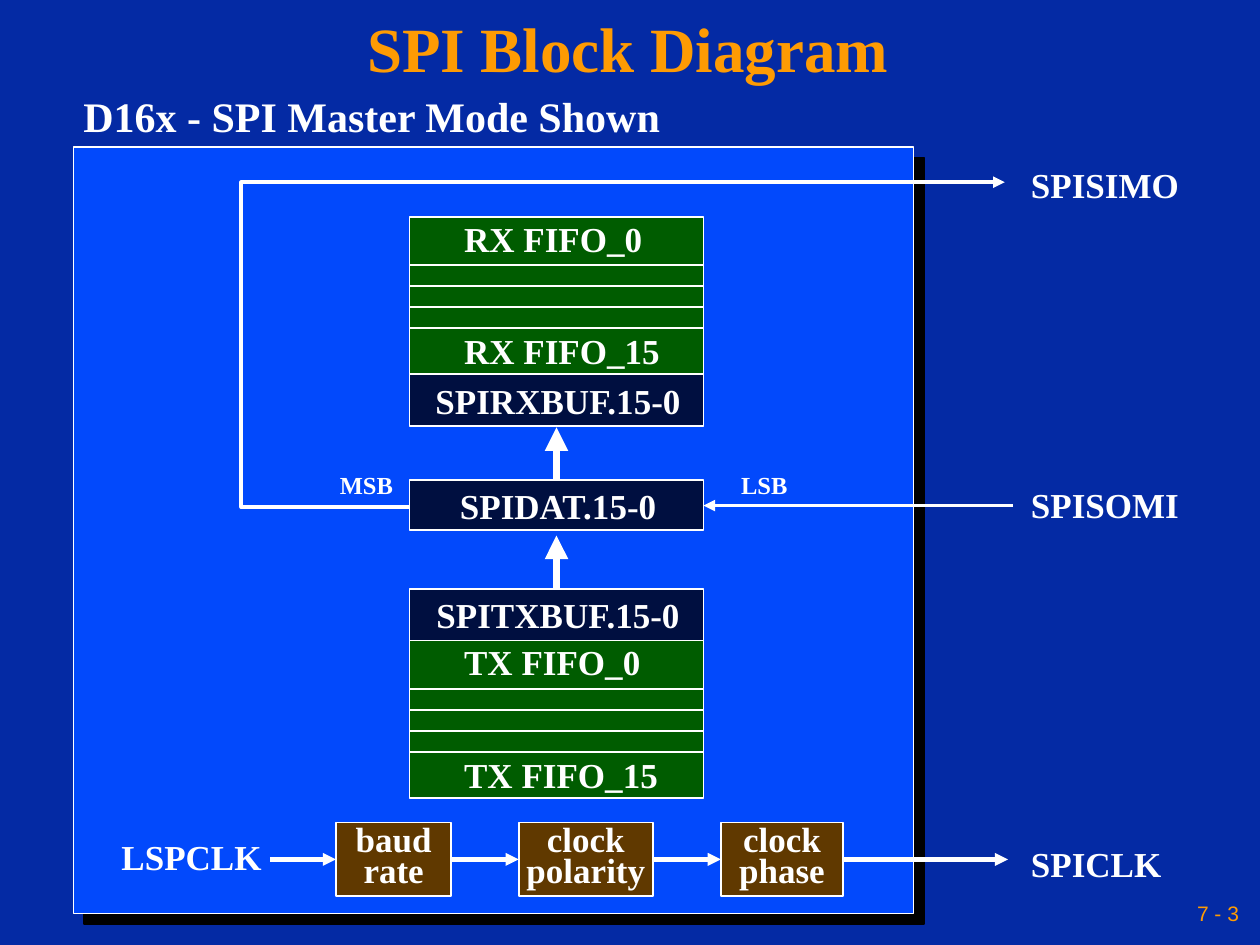
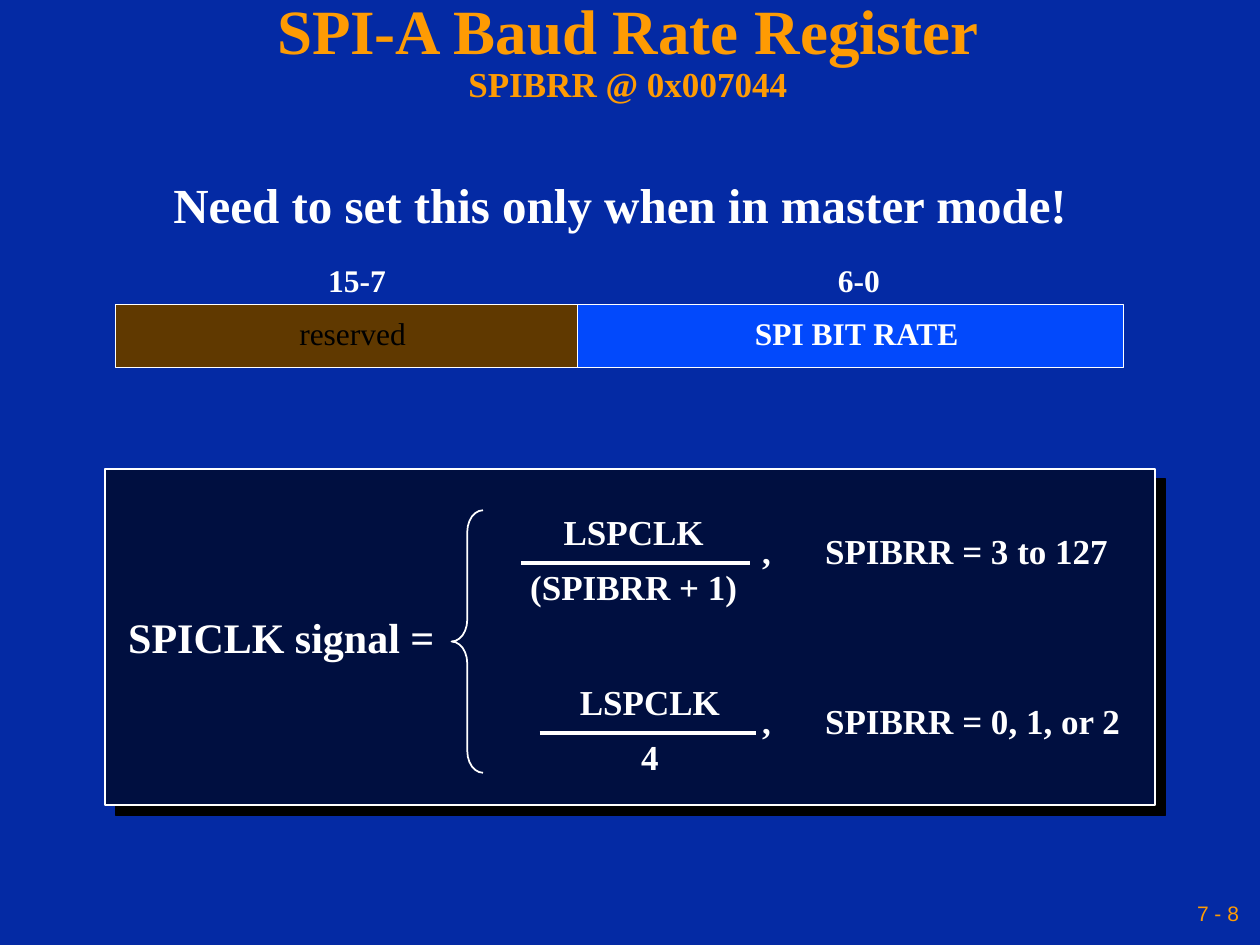
import pptx
import pptx.dml.color
import pptx.enum.shapes
import pptx.enum.text
import pptx.oxml
import pptx.oxml.ns
import pptx.util

RGB = pptx.dml.color.RGBColor
NAVY = RGB(0x04, 0x2A, 0xA4)
BLUE = RGB(0x02, 0x49, 0xFC)
MIDNIGHT = RGB(0x00, 0x0F, 0x40)
GREEN = RGB(0x00, 0x5C, 0x00)
BROWN = RGB(0x60, 0x39, 0x00)
ORANGE = RGB(0xFE, 0x9B, 0x03)
WHITE = RGB(0xFF, 0xFF, 0xFF)
BLACK = RGB(0x00, 0x00, 0x00)

COLUMNS, ROWS = 120, 90
SHAPES = pptx.enum.shapes.MSO_SHAPE
ALIGN = pptx.enum.text.PP_ALIGN
ANCHOR = pptx.enum.text.MSO_ANCHOR
Pt = pptx.util.Pt


def add_xml(parent, tag, attributes="", inner=""):
    namespace = pptx.oxml.ns.nsdecls("a")
    parent.append(pptx.oxml.parse_xml(
        f"<a:{tag} {namespace} {attributes}>{inner}</a:{tag}>"))


class Page:
    """Holds the deck's style and the slide now being filled."""

    def __init__(self, deck):
        self.deck = deck
        self.cell = deck.slide_width / COLUMNS
        self.slide = None
        background = deck.slide_master.background.fill
        background.solid()
        background.fore_color.rgb = NAVY

    def start(self, title, number, subtitle=None):
        self.slide = self.deck.slides.add_slide(self.deck.slide_layouts[6])
        heading = self.label([title], (0, 0, 119, 10), size=36, color=ORANGE,
                             spacing=0.9, wrap=True, insets=(0.6, 0.6))
        if subtitle:
            para = heading.text_frame.paragraphs[0]
            para.add_line_break()
            self.span(para, subtitle, size=20, color=ORANGE)
        self.label([f"7 - {number}"], (82, 85, 36, 4), size=12, color=ORANGE,
                   bold=False, font="Arial", spacing=1, align=ALIGN.RIGHT,
                   wrap=True, insets=(0.6, 0.6))

    def place(self, *lengths):
        """Turn grid units into slide lengths."""
        return [round(length * self.cell) for length in lengths]

    def span(self, para, words, size=20, color=WHITE, bold=True,
             font="Times New Roman"):
        span = para.add_run()
        span.text = words
        for name, value in {"size": Pt(size), "bold": bold,
                            "name": font}.items():
            setattr(span.font, name, value)
        span.font.color.rgb = color

    def set_text(self, box, lines, align=ALIGN.CENTER, anchor=ANCHOR.MIDDLE,
                 spacing=0.8, gap=0, wrap=True, insets=(0, 0), tab=None,
                 **style):
        """Fill a box with one paragraph a line; insets are left and top."""
        frame = box.text_frame
        left, top = self.place(*insets)
        for name, value in {"word_wrap": wrap, "vertical_anchor": anchor,
                            "margin_left": left, "margin_right": 0,
                            "margin_top": top, "margin_bottom": 0}.items():
            setattr(frame, name, value)
        if anchor == ANCHOR.MIDDLE:
            frame.margin_bottom = top
        for index, words in enumerate(lines):
            para = frame.add_paragraph() if index else frame.paragraphs[0]
            if tab:
                position = self.place(tab)[0]
                add_xml(para._p.get_or_add_pPr(), "tabLst",
                        inner=f'<a:tab pos="{position}" algn="l"/>')
            para.alignment = align
            para.line_spacing = spacing
            if index:
                para.space_before = Pt(gap)
            self.span(para, words, **style)

    def label(self, lines, area, **layout):
        box = self.slide.shapes.add_textbox(*self.place(*area))
        self.set_text(box, lines, **{"wrap": False, **layout})
        return box

    def outline(self, item, weight, arrow=False):
        item.line.color.rgb = WHITE
        item.line.width = Pt(weight)
        if arrow:
            add_xml(item.line._get_or_add_ln(), "tailEnd", 'type="triangle"')

    def block(self, area, fill=None, lines=(), kind=SHAPES.RECTANGLE, **layout):
        box = self.slide.shapes.add_shape(kind, *self.place(*area))
        box.shadow.inherit = False
        if fill is None:
            box.fill.background()
        else:
            box.fill.solid()
            box.fill.fore_color.rgb = fill
        self.outline(box, 1)
        if lines:
            self.set_text(box, lines, **layout)
        return box

    def panel(self, area, fill):
        """Draw a block with a hard shadow to the lower right."""
        effects = self.block(area, fill)._element.spPr.find(
            pptx.oxml.ns.qn("a:effectLst"))
        add_xml(effects, "outerShdw",
                f'blurRad="0" dist="{Pt(8.5)}" dir="2700000" algn="ctr" '
                'rotWithShape="0"', '<a:srgbClr val="000000"/>')

    def line(self, start, end, weight, arrow=False):
        connector = self.slide.shapes.add_connector(
            pptx.enum.shapes.MSO_CONNECTOR.STRAIGHT, *self.place(*start, *end))
        self.outline(connector, weight, arrow)
        add_xml(connector._element.spPr, "effectLst")

    def route(self, points, weight):
        """Draw a bent arrow through the points."""
        first, *others = [self.place(*point) for point in points]
        builder = self.slide.shapes.build_freeform(*first)
        builder.add_line_segments(others, close=False)
        bent_arrow = builder.convert_to_shape()
        bent_arrow.shadow.inherit = False
        bent_arrow.fill.background()
        self.outline(bent_arrow, weight, arrow=True)


def draw_block_diagram(page):
    page.start("SPI Block Diagram", 3)
    page.panel((7, 14, 80, 73), BLUE)
    page.label(["D16x - SPI Master Mode Shown"], (6.7, 9, 57.4, 5), size=24)

    buffer_left, buffer_width, fifo_height = 39, 28, 15
    buffer_right = buffer_left + buffer_width
    for name, top, height in (("SPIRXBUF", 35.6, 5), ("SPIDAT", 45.7, 4.8),
                              ("SPITXBUF", 56.1, 4.9)):
        page.block((buffer_left, top, buffer_width, height), MIDNIGHT,
                   [f"{name}.15-0"], spacing=1, insets=(0.3, 0.1))
    for direction, top in (("RX", 20.65), ("TX", 61)):
        page.block((buffer_left, top, buffer_width, fifo_height), GREEN,
                   [f"{direction} FIFO_0", f"{direction} FIFO_15"],
                   align=ALIGN.LEFT, anchor=ANCHOR.TOP, gap=45,
                   insets=(5.2, 0.8))
        for step in range(4):
            row = top + 4.6 + 2 * step
            page.line((buffer_left, row), (buffer_right, row), 1)

    middle = buffer_left + buffer_width / 2
    for bottom in (45.8, 56.1):
        page.line((middle, bottom), (middle, bottom - 5.1), 4.5, arrow=True)
    page.route([(buffer_left, 48.3), (23, 48.3), (23, 17.35), (95.7, 17.35)],
               2.25)
    page.line((96.5, 48.15), (buffer_right, 48.15), 2.25, arrow=True)
    for bit, left in (("MSB", 31.3), ("LSB", 69.2)):
        page.label([bit], (left, 44.7, 7.2, 3.5), size=14)
    for pin, top in (("SPISIMO", 15), ("SPISOMI", 45.4), ("SPICLK", 79.6)):
        page.label([pin], (97, top, 16.5, 5.2), spacing=1, align=ALIGN.LEFT,
                   wrap=True, insets=(1.2, 0.6))

    clock_row = 81.85
    page.label(["LSPCLK"], (10.4, 79.7, 15.7, 4.4))
    arrow_start = 25.7
    for lines, left, width in ((["baud", "rate"], 32, 11),
                               (["clock", "polarity"], 49.4, 12.8),
                               (["clock", "phase"], 68.65, 11.65)):
        page.block((left, clock_row - 3.5, width, 7), BROWN, lines,
                   spacing=Pt(17.7))
        page.line((arrow_start, clock_row), (left, clock_row), 2.5, arrow=True)
        arrow_start = left + width
    page.line((arrow_start, clock_row), (96, clock_row), 2.5, arrow=True)


def draw_baud_rate_register(page):
    page.start("SPI-A Baud Rate Register", 8, "SPIBRR @ 0x007044")
    page.label(["Need to set this only when in master mode!"],
               (15.3, 17, 87.5, 5.8), size=28)

    for bits, bits_left, field, left, width, fill, style in (
            ("15-7", 30, "reserved", 11, 44, BROWN,
             {"color": BLACK, "bold": False}),
            ("6-0", 77.8, "SPI BIT RATE", 55, 52, BLUE, {})):
        page.block((left, 29, width, 6), fill, [field], size=18,
                   insets=(1.2, 0), **style)
        page.label([bits], (bits_left, 25, 8, 4), size=18)

    page.panel((10, 44.65, 100, 32), MIDNIGHT)
    page.label(["SPICLK signal ="], (11, 58.6, 31.6, 5), size=24)
    page.block((43, 48.6, 3, 25), kind=SHAPES.LEFT_BRACE).adjustments[0] = 0.69
    for divisor, condition, left, width, center, row in (
            ("(SPIBRR + 1)", "3 to 127", 49.6, 21.8, 60.35, 53.6),
            ("4", "0, 1, or 2", 51.4, 20.6, 61.9, 69.8)):
        page.label(["LSPCLK", divisor], (center - 11, row - 4.9, 22, 9.8),
                   gap=12.5)
        page.line((left, row), (left + width, row), 2.25)
        page.label([f",\tSPIBRR = {condition}"], (71.4, row - 3, 37, 4.4),
                   align=ALIGN.LEFT, wrap=True, insets=(1.2, 0), tab=6)


def main():
    deck = pptx.Presentation()
    deck.slide_width = pptx.util.Inches(10)
    deck.slide_height = round(deck.slide_width * ROWS / COLUMNS)
    page = Page(deck)
    draw_block_diagram(page)
    draw_baud_rate_register(page)
    deck.save("out.pptx")


if __name__ == "__main__":
    main()
